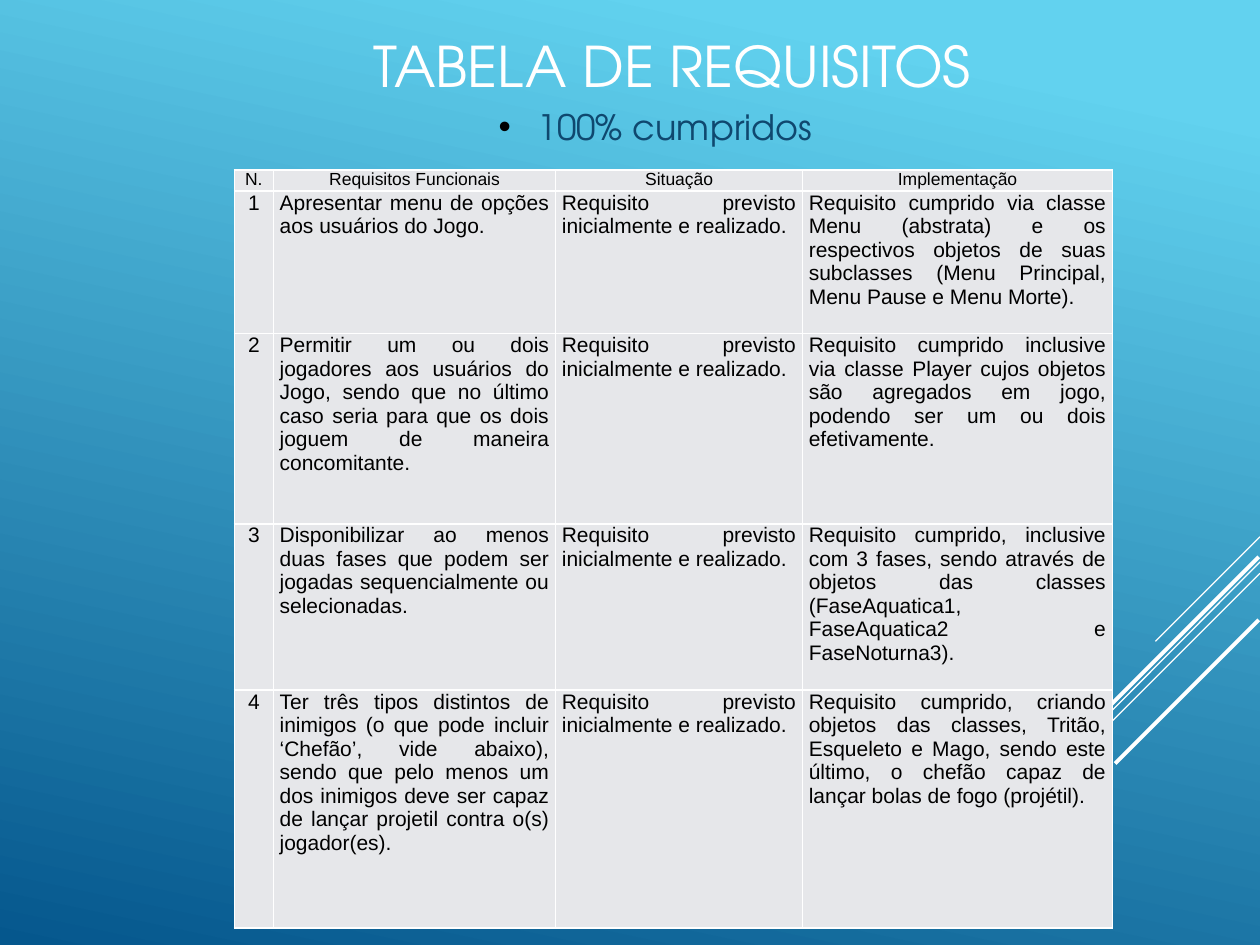
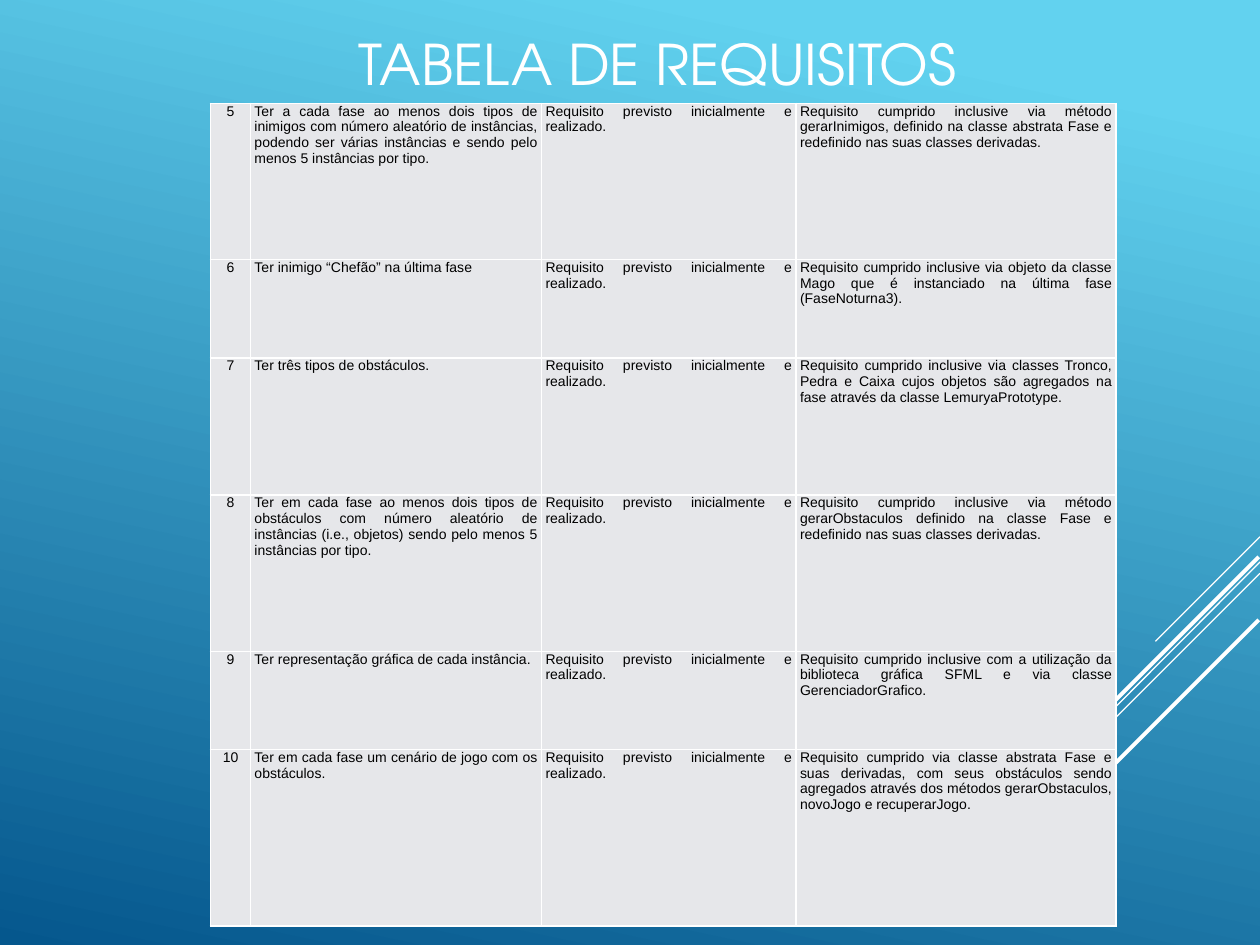
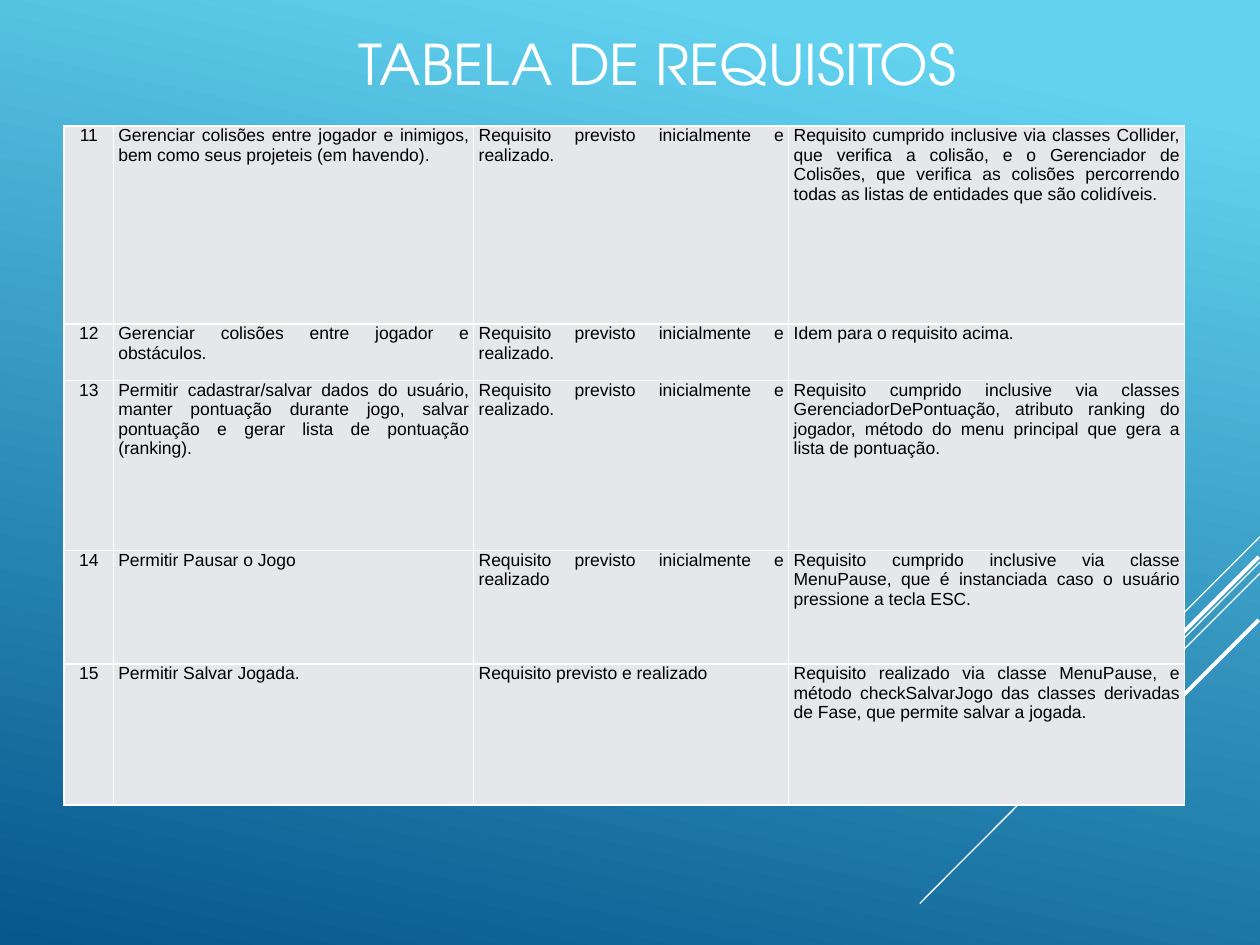
from copy import deepcopy

from lxml import etree
from pptx import Presentation
from pptx.dml.color import RGBColor
from pptx.enum.shapes import MSO_CONNECTOR
from pptx.enum.text import MSO_ANCHOR, PP_ALIGN
from pptx.oxml import parse_xml
from pptx.oxml.ns import nsdecls, qn
from pptx.util import Inches, Pt

# Shared look
COLORS = {"sky": "62D2EF", "deep": "05578D", "white": "FFFFFF",
          "navy": "0F486F", "black": "000000", "cell": "E6E7EA"}
TITLE_FONT, TABLE_FONT = "TeX Gyre Adventor", "Arial"
BG_STOPS = [(0, "sky"), (0.1, "sky"), (1, "deep")]
# Diagonal lines: x1, y1, x2, y2, width in points
DIAGONALS = [
    (10, 4.26, 9.17, 5.09, 0.75),
    (10, 4.46, 7.3, 7.17, 0.75),
    (10, 4.55, 8.28, 6.27, 0.75),
    (9.99, 4.42, 8.42, 5.99, 2.25),
    (9.99, 4.92, 8.85, 6.06, 2.25),
]

# Content
TITLE = "TABELA DE REQUISITOS"
DONE = "Requisito previsto inicialmente e realizado."
HEADER = ("N.", "Requisitos Funcionais", "Situação", "Implementação")

ROWS_1_4 = [
    ("1", "Apresentar menu de opções aos usuários do Jogo.", DONE,
     "Requisito cumprido via classe Menu (abstrata) e os respectivos objetos de suas "
     "subclasses (Menu Principal, Menu Pause e Menu Morte)."),
    ("2", "Permitir um ou dois jogadores aos usuários do Jogo, sendo que no último caso "
     "seria para que os dois joguem de maneira concomitante.", DONE,
     "Requisito cumprido inclusive via classe Player cujos objetos são agregados em jogo, "
     "podendo ser um ou dois efetivamente."),
    ("3", "Disponibilizar ao menos duas fases que podem ser jogadas sequencialmente ou "
     "selecionadas.", DONE,
     "Requisito cumprido, inclusive com 3 fases, sendo através de objetos das classes "
     "(FaseAquatica1, FaseAquatica2 e FaseNoturna3)."),
    ("4", "Ter três tipos distintos de inimigos (o que pode incluir ‘Chefão’, vide abaixo), "
     "sendo que pelo menos um dos inimigos deve ser capaz de lançar projetil contra o(s) "
     "jogador(es).", DONE,
     "Requisito cumprido, criando objetos das classes, Tritão, Esqueleto e Mago, sendo este "
     "último, o chefão capaz de lançar bolas de fogo (projétil)."),
]
ROWS_5_10 = [
    ("5", "Ter a cada fase ao menos dois tipos de inimigos com número aleatório de "
     "instâncias, podendo ser várias instâncias e sendo pelo menos 5 instâncias por tipo.",
     DONE,
     "Requisito cumprido inclusive via método gerarInimigos, definido na classe abstrata "
     "Fase e redefinido nas suas classes derivadas."),
    ("6", "Ter inimigo “Chefão” na última fase", DONE,
     "Requisito cumprido inclusive via objeto da classe Mago que é instanciado na última "
     "fase (FaseNoturna3)."),
    ("7", "Ter três tipos de obstáculos.", DONE,
     "Requisito cumprido inclusive via classes Tronco, Pedra e Caixa cujos objetos são "
     "agregados na fase através da classe LemuryaPrototype."),
    ("8", "Ter em cada fase ao menos dois tipos de obstáculos com número aleatório de "
     "instâncias (i.e., objetos) sendo pelo menos 5 instâncias por tipo.", DONE,
     "Requisito cumprido inclusive via método gerarObstaculos definido na classe Fase e "
     "redefinido nas suas classes derivadas."),
    ("9", "Ter representação gráfica de cada instância.", DONE,
     "Requisito cumprido inclusive com a utilização da biblioteca gráfica SFML e via classe "
     "GerenciadorGrafico."),
    ("10", "Ter em cada fase um cenário de jogo com os obstáculos.", DONE,
     "Requisito cumprido via classe abstrata Fase e suas derivadas, com seus obstáculos "
     "sendo agregados através dos métodos gerarObstaculos, novoJogo e recuperarJogo."),
]
ROWS_11_15 = [
    ("11", "Gerenciar colisões entre jogador e inimigos, bem como seus projeteis "
     "(em havendo).", DONE,
     "Requisito cumprido inclusive via classes Collider, que verifica a colisão, e o "
     "Gerenciador de Colisões, que verifica as colisões percorrendo todas as listas de "
     "entidades que são colidíveis."),
    ("12", "Gerenciar colisões entre jogador e obstáculos.", DONE,
     "Idem para o requisito acima."),
    ("13", "Permitir cadastrar/salvar dados do usuário, manter pontuação durante jogo, "
     "salvar pontuação e gerar lista de pontuação (ranking).", DONE,
     "Requisito cumprido inclusive via classes GerenciadorDePontuação, atributo ranking do "
     "jogador, método do menu principal que gera a lista de pontuação."),
    ("14", "Permitir Pausar o Jogo", "Requisito previsto inicialmente e realizado",
     "Requisito cumprido inclusive via classe MenuPause, que é instanciada caso o usuário "
     "pressione a tecla ESC."),
    ("15", "Permitir Salvar Jogada.", "Requisito previsto e realizado",
     "Requisito realizado via classe MenuPause, e método checkSalvarJogo das classes "
     "derivadas de Fase, que permite salvar a jogada."),
]

LEFT_TITLE = {"box": (2.75, -0.12, 7.17, 1.24), "align": PP_ALIGN.LEFT}
SLIDES = [
    {"title": {"box": (1.75, 0, 7.17, 1.04), "align": PP_ALIGN.CENTER},
     "bullet": "100% cumpridos", "header": HEADER, "rows": ROWS_1_4,
     "at": (1.86, 1.35), "cols": (0.31, 2.24, 1.96, 2.46),
     "heights": (0.16, 1.13, 1.51, 1.32, 1.89), "size": 12, "inset": 0.05},
    {"title": LEFT_TITLE, "rows": ROWS_5_10,
     "at": (1.67, 0.82), "cols": (0.32, 2.31, 2.02, 2.54),
     "heights": (1.24, 0.78, 1.09, 1.24, 0.78, 1.4), "size": 8, "inset": 0.03},
    {"title": LEFT_TITLE, "rows": ROWS_11_15,
     "at": (0.51, 1), "cols": (0.39, 2.86, 2.5, 3.14),
     "heights": (1.57, 0.45, 1.35, 0.9, 1.12), "size": 10, "inset": 0.04},
]


def rgb(name):
    return RGBColor.from_string(COLORS[name])


def add_run(p, text, size, font, color):
    r = p.add_run()
    r.text = text
    r.font.size, r.font.name = Pt(size), font
    r.font.color.rgb = rgb(color)


def add_background(s):
    fill = s.background.fill
    fill.gradient()
    fill.gradient_angle = 360 - 102
    first = s._element.xpath(".//a:gs")[0]
    first.addnext(deepcopy(first))
    for stop, (position, color) in zip(fill.gradient_stops, BG_STOPS):
        stop.position = position
        stop.color.rgb = rgb(color)


def add_diagonals(s):
    for x1, y1, x2, y2, width in DIAGONALS:
        line = s.shapes.add_connector(MSO_CONNECTOR.STRAIGHT, *map(Inches, (x1, y1, x2, y2)))
        line.line.color.rgb = rgb("white")
        line.line.width = Pt(width)
        etree.SubElement(line._element.spPr, qn("a:effectLst"))


def add_text(s, box, text, size, color, align=PP_ALIGN.LEFT, anchor=MSO_ANCHOR.TOP):
    tf = s.shapes.add_textbox(*map(Inches, box)).text_frame
    tf.word_wrap = True
    tf.vertical_anchor = anchor
    p = tf.paragraphs[0]
    p.alignment = align
    add_run(p, text, size, TITLE_FONT, color)
    return p


def add_bullet(p, indent):
    pPr = p._p.get_or_add_pPr()
    pPr.set("marL", str(Inches(indent)))
    pPr.set("indent", str(-Inches(indent)))
    for xml in (f'<a:buClr {nsdecls("a")}><a:srgbClr val="{COLORS["black"]}"/></a:buClr>',
                f'<a:buFont {nsdecls("a")} typeface="{TABLE_FONT}"/>',
                f'<a:buChar {nsdecls("a")} char="•"/>'):
        pPr.append(parse_xml(xml))


def add_borders(cell):
    tcPr = cell._tc.get_or_add_tcPr()
    for i, side in enumerate(("lnL", "lnR", "lnT", "lnB")):
        tcPr.insert(i, parse_xml(
            f'<a:{side} {nsdecls("a")} w="{Pt(1)}"><a:solidFill>'
            f'<a:srgbClr val="{COLORS["white"]}"/></a:solidFill></a:{side}>'))


def add_requirements(s, spec):
    header = spec.get("header")
    rows = ([header] if header else []) + spec["rows"]
    cols, heights = spec["cols"], spec["heights"]
    table = s.shapes.add_table(len(rows), len(cols), *map(
        Inches, (*spec["at"], sum(cols), sum(heights)))).table
    table.first_row = table.horz_banding = False
    for column, width in zip(table.columns, cols):
        column.width = Inches(width)
    for i, (row, height) in enumerate(zip(rows, heights)):
        table.rows[i].height = Inches(height)
        is_header = row is header
        for j, text in enumerate(row):
            cell = table.cell(i, j)
            cell.margin_left = cell.margin_right = Inches(spec["inset"])
            cell.margin_top = cell.margin_bottom = 0
            cell.fill.solid()
            cell.fill.fore_color.rgb = rgb("cell")
            add_borders(cell)
            p = cell.text_frame.paragraphs[0]
            p.alignment = PP_ALIGN.CENTER if is_header or j == 0 else PP_ALIGN.JUSTIFY
            add_run(p, text, 10 if is_header else spec["size"], TABLE_FONT, "black")


def main():
    prs = Presentation()
    prs.slide_width, prs.slide_height = Inches(10), Inches(7.5)
    for spec in SLIDES:
        s = prs.slides.add_slide(prs.slide_layouts[6])
        add_background(s)
        add_diagonals(s)
        add_text(s, spec["title"]["box"], TITLE, 32, "white",
                 spec["title"]["align"], MSO_ANCHOR.MIDDLE)
        if "bullet" in spec:
            p = add_text(s, (3.86, 0.79, 2.97, 0.65), spec["bullet"], 20, "navy")
            add_bullet(p, 0.31)
        add_requirements(s, spec)
    prs.save("out.pptx")


if __name__ == "__main__":
    main()
